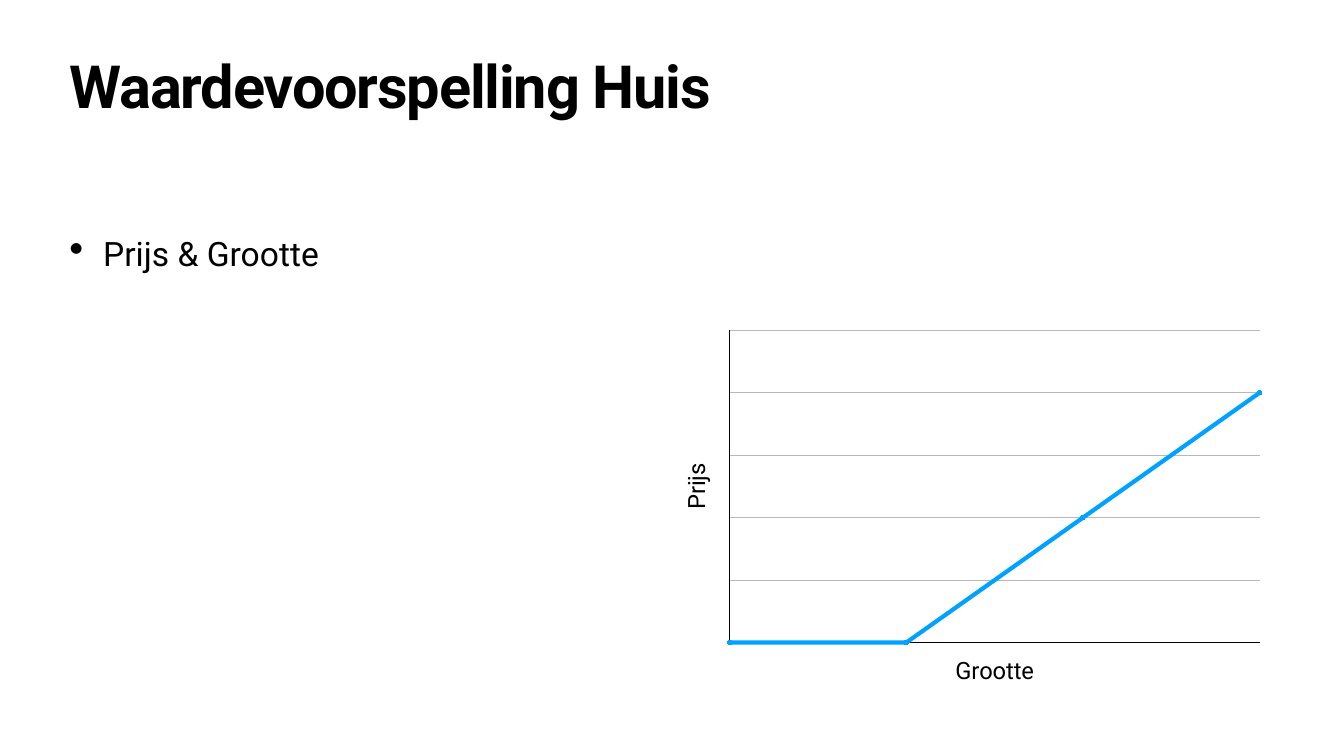
from lxml import etree
from pptx import Presentation
from pptx import util as u
from pptx.chart import data as chart_data
from pptx.dml import color as dml
from pptx.enum import chart as charts, text
from pptx.oxml import ns

BLACK, GREY, LINE_BLUE = "000000", "B8B8B8", "00A2FF"


def rgb(value):
    return dml.RGBColor.from_string(value)


def add_xml(parent, tag, **attributes):
    return etree.SubElement(parent, ns.qn(tag), attributes)


class SlideBuilder:
    font_name = "Roboto"
    inset = u.Cm(0.15)
    axis_size = 34

    def __init__(self, presentation):
        self.slide = presentation.slides.add_slide(presentation.slide_layouts[6])

    def style_font(self, font, size, color=BLACK, bold=False):
        font.name, font.size, font.bold = self.font_name, u.Pt(size), bold
        font.color.rgb = rgb(color)

    def style_line(self, line, color, width):
        line.color.rgb, line.width = rgb(color), u.Pt(width)

    def text_box(self, box, content, size, spacing, bold=False):
        shape = self.slide.shapes.add_textbox(*map(u.Cm, box))
        frame = shape.text_frame
        frame.word_wrap = True
        frame.vertical_anchor = text.MSO_ANCHOR.TOP
        frame.margin_left = frame.margin_right = self.inset
        frame.margin_top = frame.margin_bottom = self.inset
        frame.text = content
        paragraph = frame.paragraphs[0]
        paragraph.line_spacing = spacing
        self.style_font(paragraph.runs[0].font, size, bold=bold)
        return paragraph

    def title(self, box, content):
        paragraph = self.text_box(box, content, 85, 0.8, bold=True)
        paragraph.runs[0].font._element.set("spc", "-170")

    def bullet(self, box, content):
        paragraph = self.text_box(box, content, 48, 0.9)
        paragraph.space_before = u.Pt(45)
        properties = paragraph._p.get_or_add_pPr()
        indent = u.Cm(1.7)
        properties.set("marL", str(indent))
        properties.set("indent", str(-indent))
        add_xml(properties, "a:buSzPct", val="123000")
        add_xml(properties, "a:buChar", char="•")

    def axis(self, axis, title, rotation):
        axis.tick_label_position = charts.XL_TICK_LABEL_POSITION.NONE
        axis.major_tick_mark = axis.minor_tick_mark = charts.XL_TICK_MARK.NONE
        self.style_line(axis.format.line, BLACK, 1)
        self.style_font(axis.tick_labels.font, self.axis_size)
        frame = axis.axis_title.text_frame
        frame.text = title
        self.style_font(frame.paragraphs[0].runs[0].font, self.axis_size)
        body = next(axis.axis_title.element.iter(ns.qn("a:bodyPr")))
        body.set("rot", str(rotation * 60000))
        body.set("vert", "horz")

    def line_chart(self, box, categories, name, values, axis_titles, plot_area):
        data = chart_data.CategoryChartData()
        data.categories = categories
        data.add_series(name, values)
        frame = self.slide.shapes.add_chart(
            charts.XL_CHART_TYPE.LINE_MARKERS, *map(u.Cm, box), data)
        chart = frame.chart
        chart.has_legend = chart.has_title = False
        self.style_font(chart.font, 10, "5E5E5E")
        chart.plots[0].vary_by_categories = False

        # Axes and grid
        category_axis, value_axis = chart.category_axis, chart.value_axis
        self.axis(category_axis, axis_titles[0], 0)
        self.axis(value_axis, axis_titles[1], -90)
        category_axis.has_major_gridlines = False
        value_axis.minimum_scale, value_axis.maximum_scale = 0, 125
        value_axis.major_unit = 25
        self.style_line(value_axis.major_gridlines.format.line, GREY, 1)

        # Start the line on the value axis
        axis_element = value_axis.axis_title.element.getparent()
        for old in axis_element.findall(ns.qn("c:crossBetween")):
            axis_element.remove(old)
        between = etree.Element(ns.qn("c:crossBetween"), val="midCat")
        axis_element.find(ns.qn("c:crosses")).addnext(between)

        # Series
        series = chart.plots[0].series[0]
        series.smooth = False
        self.style_line(series.format.line, LINE_BLUE, 6)
        marker = series.marker
        marker.style, marker.size = charts.XL_MARKER_STYLE.CIRCLE, 6
        marker.format.fill.solid()
        marker.format.fill.fore_color.rgb = rgb(LINE_BLUE)
        self.style_line(marker.format.line, LINE_BLUE, 6)

        # Inner plot area, as fractions of the chart
        plot = axis_element.getparent()
        for old in plot.findall(ns.qn("c:layout")):
            plot.remove(old)
        layout = etree.Element(ns.qn("c:layout"))
        plot.insert(0, layout)
        manual = add_xml(layout, "c:manualLayout")
        add_xml(manual, "c:layoutTarget", val="inner")
        for key in ("xMode", "yMode"):
            add_xml(manual, f"c:{key}", val="edge")
        for key, value in zip("xywh", plot_area):
            add_xml(manual, f"c:{key}", val=str(value))


def main():
    presentation = Presentation()
    presentation.slide_width, presentation.slide_height = u.Cm(67.73), u.Cm(38.1)
    builder = SlideBuilder(presentation)

    # Title and bullet share the left margin and width
    left, width = 3.35, 61.04
    builder.title((left, 3, width, 3.99), "Waardevoorspelling Huis")
    builder.bullet((left, 11.81, width, 22.94), "Prijs & Grootte")

    # Price against size
    builder.line_chart((33.81, 15.24, 29.77, 20.17), ["1", "2", "3", "4"],
                       "Series 1", (0, 0, 50, 100), ("Grootte", "Prijs"),
                       (0.1, 0.07, 0.9, 0.78))
    presentation.save("out.pptx")


if __name__ == "__main__":
    main()
